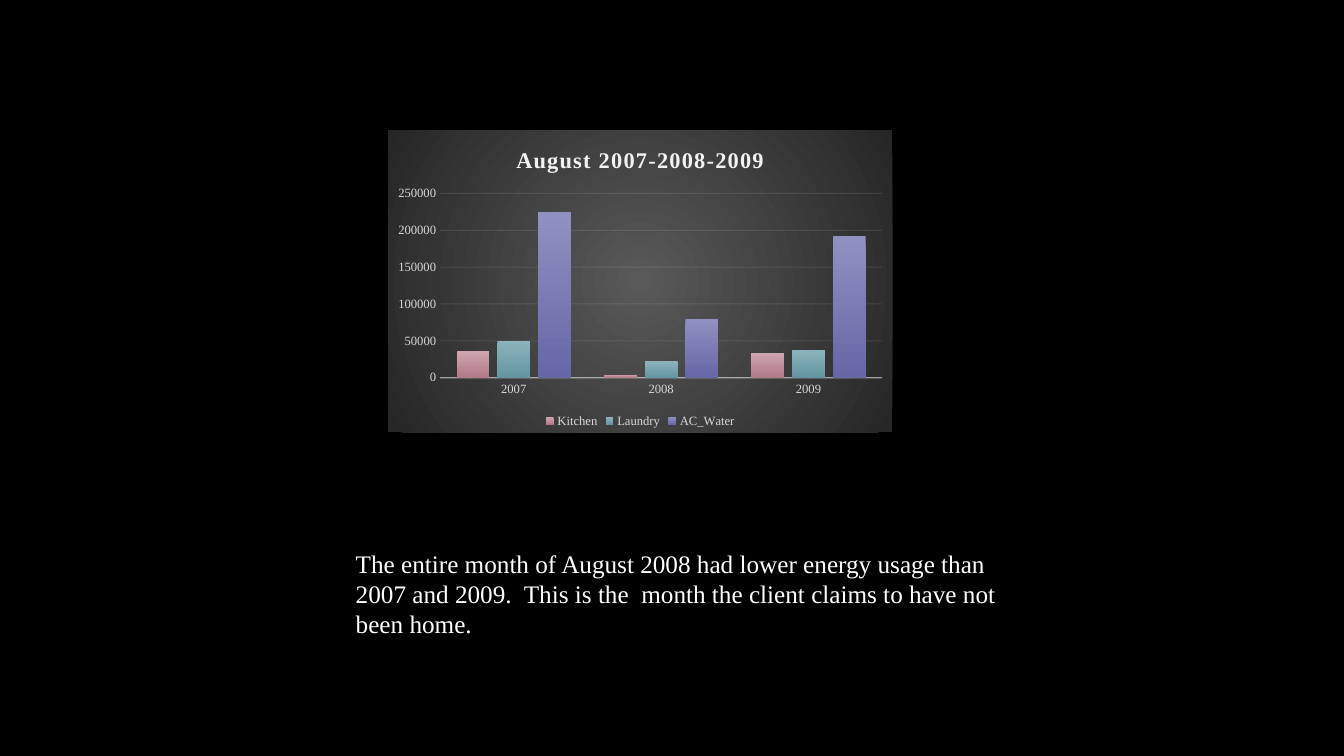
from lxml import etree
from pptx import Presentation
from pptx.chart import data as cd
from pptx.dml.color import RGBColor
from pptx.enum import chart as ec, text
from pptx.oxml import parse_xml
from pptx.oxml.ns import nsdecls, qn
from pptx.util import Inches, Pt

FONT = "Times New Roman"
COLORS = {
    "background": "000000",
    "text": "FFFFFF",
    "title": "F2F2F2",
    "labels": "D9D9D9",
    "lines": "F2F2F2",
    "plate_center": "595959",
    "plate_edge": "262626",
}
YEARS = ["2007", "2008", "2009"]
USAGE = {
    "Kitchen": ([36000, 4000, 34000], "CEA5AE", "B17A86"),
    "Laundry": ([50000, 22000, 38000], "8CB3BC", "6395A1"),
    "AC_Water": ([225000, 80000, 192000], "9190C2", "6766A7"),
}
NOTE = ("The entire month of August 2008 had lower energy usage than 2007 and 2009.  "
        "This is the  month the client claims to have not been home.")


def rgb(name):
    return RGBColor.from_string(COLORS[name])


def style_font(font, size, color, bold=False):
    font.name = FONT
    font.size = Pt(size)
    font.bold = bold
    font.color.rgb = rgb(color)


def add_text(tf, content, size=18, color="text", bold=False):
    p = tf.paragraphs[0]
    r = p.add_run()
    r.text = content
    style_font(r.font, size, color, bold)
    return r


def add_note(s, content, left, top, width, height):
    tf = s.shapes.add_textbox(left, top, width, height).text_frame
    tf.word_wrap = True
    tf.auto_size = text.MSO_AUTO_SIZE.SHAPE_TO_FIT_TEXT
    add_text(tf, content)


def style_line(line, width):
    line.color.rgb = rgb("lines")
    line.width = Pt(width)


def set_alpha(chart, xpath, percent):
    for color in chart.element.xpath(xpath):
        etree.SubElement(color, qn("a:alpha")).set("val", str(percent * 1000))


def fill_plate(chart):
    sp_pr = parse_xml(
        f'<c:spPr {nsdecls("c", "a")}><a:gradFill><a:gsLst>'
        f'<a:gs pos="0"><a:srgbClr val="{COLORS["plate_center"]}"/></a:gs>'
        f'<a:gs pos="100000"><a:srgbClr val="{COLORS["plate_edge"]}"/></a:gs>'
        '</a:gsLst><a:path path="circle">'
        '<a:fillToRect l="50000" t="50000" r="50000" b="50000"/>'
        '</a:path></a:gradFill><a:ln><a:noFill/></a:ln></c:spPr>')
    chart.element.find(qn("c:chart")).addnext(sp_pr)


def style_axes(chart):
    for axis in (chart.category_axis, chart.value_axis):
        axis.major_tick_mark = axis.minor_tick_mark = ec.XL_TICK_MARK.NONE
        style_font(axis.tick_labels.font, 9, "labels")
    style_line(chart.category_axis.format.line, 1)
    chart.value_axis.format.line.fill.background()
    chart.value_axis.has_major_gridlines = True
    style_line(chart.value_axis.major_gridlines.format.line, 0.75)
    set_alpha(chart, ".//c:catAx/c:spPr//a:srgbClr", 54)
    set_alpha(chart, ".//c:valAx/c:majorGridlines//a:srgbClr", 10)


def style_series(plot):
    plot.gap_width = 100
    plot.overlap = -24
    plot.vary_by_categories = False
    for series in plot.series:
        fill = series.format.fill
        fill.gradient()
        fill.gradient_angle = 270
        for stop, color in zip(fill.gradient_stops, USAGE[series.name][1:]):
            stop.color.rgb = RGBColor.from_string(color)


def add_usage_chart(s, title, left, top, width, height):
    data = cd.CategoryChartData()
    data.categories = YEARS
    for name, (values, *_) in USAGE.items():
        data.add_series(name, values)
    chart = s.shapes.add_chart(ec.XL_CHART_TYPE.COLUMN_CLUSTERED,
                               left, top, width, height, data).chart
    style_font(chart.font, 10, "text")
    fill_plate(chart)
    chart.has_title = True
    r = add_text(chart.chart_title.text_frame, title, size=16, color="title", bold=True)
    chart.element.xpath(".//c:title//a:r/a:rPr")[0].set("spc", "100")
    chart.has_legend = True
    chart.legend.position = ec.XL_LEGEND_POSITION.BOTTOM
    chart.legend.include_in_layout = False
    style_font(chart.legend.font, 9, "labels")
    style_axes(chart)
    style_series(chart.plots[0])


def main():
    prs = Presentation()
    prs.slide_width, prs.slide_height = Inches(13.33), Inches(7.5)
    s = prs.slides.add_slide(prs.slide_layouts[6])
    s.background.fill.solid()
    s.background.fill.fore_color.rgb = rgb("background")
    add_usage_chart(s, "August 2007-2008-2009",
                    Inches(3.85), Inches(1.29), Inches(5), Inches(3))
    add_note(s, NOTE, Inches(3.43), Inches(5.39), Inches(6.59), Inches(1.01))
    prs.save("out.pptx")


if __name__ == "__main__":
    main()
